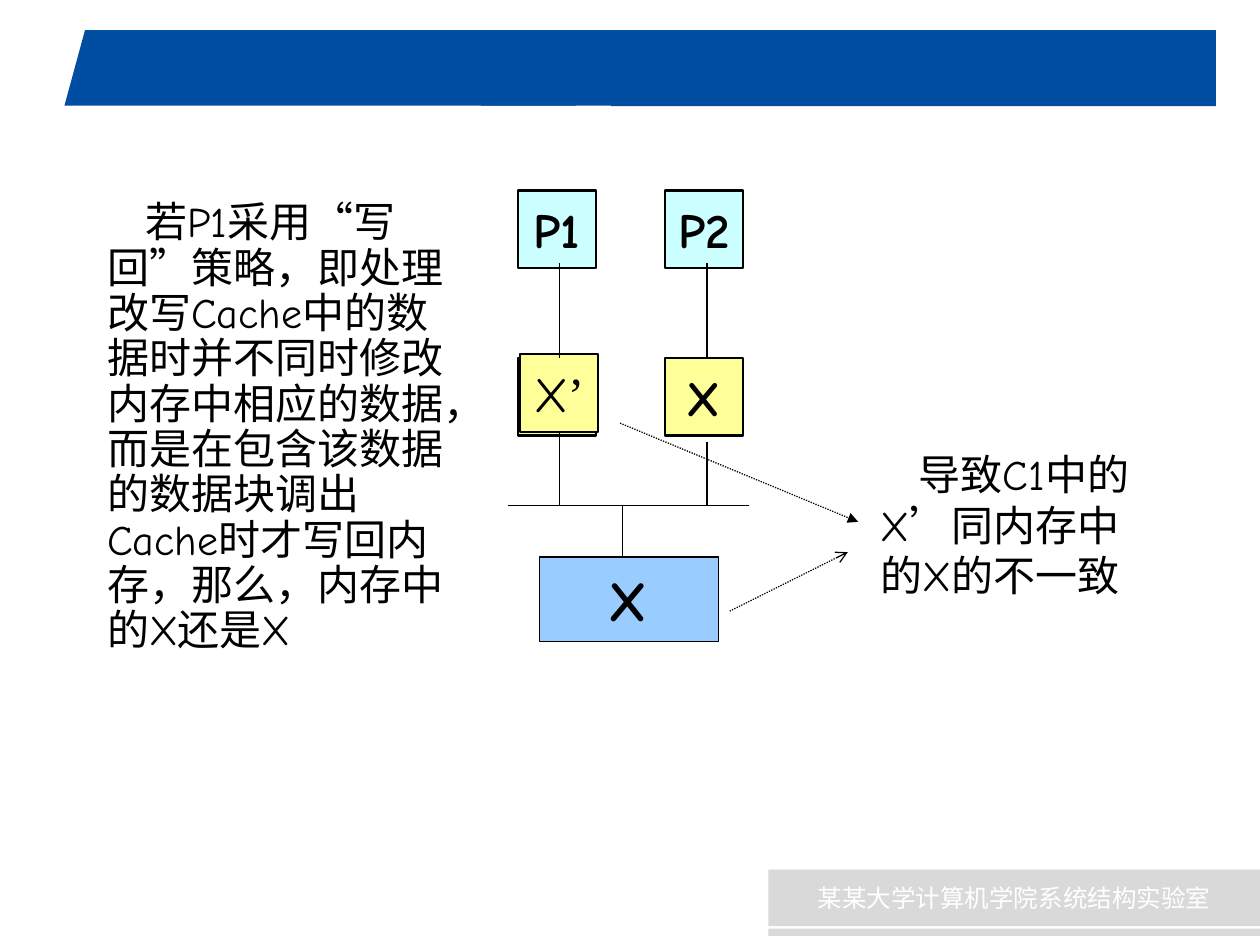
from lxml import etree
from pptx import Presentation
from pptx import util as u
from pptx.dml.color import RGBColor
from pptx.enum import dml, shapes, text
from pptx.oxml.ns import qn

BLUE = RGBColor(0x00, 0x4E, 0xA2)
GREY = RGBColor(0xD9, 0xD9, 0xD9)
CYAN = RGBColor(0xCC, 0xFF, 0xFF)
YELLOW = RGBColor(0xFF, 0xFF, 0x99)
SKY = RGBColor(0x99, 0xCC, 0xFF)
BLACK = RGBColor(0, 0, 0)
WHITE = RGBColor(0xFF, 0xFF, 0xFF)
LATIN, QUOTE, CJK = "Comic Neue", "Times New Roman", "Noto Sans CJK SC"
RECT = shapes.MSO_SHAPE.RECTANGLE

deck = Presentation()
deck.slide_width, deck.slide_height = u.Cm(25.4), u.Cm(19.05)
slide = deck.slides.add_slide(deck.slide_layouts[6])


def add_box(kind, place, fill, border=None):
    box = slide.shapes.add_shape(kind, *[u.Cm(v) for v in place])
    box.shadow.inherit = False
    box.fill.solid()
    box.fill.fore_color.rgb = fill
    if border:
        box.line.color.rgb = BLACK
        box.line.width = u.Pt(border)
    else:
        box.line.fill.background()
    return box


def write(paragraph, pieces, size, color=BLACK, bold=False):
    for piece, font in pieces:
        run = paragraph.add_run()
        run.text = piece
        run.font.name = font
        run.font.size = u.Pt(size)
        run.font.bold = bold
        run.font.color.rgb = color
        east_asian = etree.Element(qn("a:ea"), typeface=CJK)
        run.font._element.find(qn("a:latin")).addnext(east_asian)


banner = add_box(shapes.MSO_SHAPE.TRAPEZOID, (1.3, 0.61, 10.31, 1.52), BLUE)
banner.adjustments[0] = 0.273
add_box(RECT, (9.7, 0.61, 14.81, 1.52), BLUE)
add_box(RECT, (12.32, 2.01, 12.19, 0.13), BLUE)

footer = add_box(RECT, (15.49, 17.53, 9.91, 1.14), GREY)
footer.text_frame.vertical_anchor = text.MSO_ANCHOR.MIDDLE
footer.text_frame.paragraphs[0].alignment = text.PP_ALIGN.CENTER
write(footer.text_frame.paragraphs[0], [("某某大学计算机学院系统结构实验室", CJK)], 14, WHITE)
add_box(RECT, (15.49, 18.72, 9.91, 0.15), GREY)

SIDE = 1.57
units = [
    ((10.44, 3.84, SIDE, SIDE), CYAN, 1.25, [("P1", LATIN)], 28, True),
    ((10.44, 7.21, SIDE, SIDE), YELLOW, 1.25, [("X", LATIN)], 28, True),
    ((13.41, 3.84, SIDE, SIDE), CYAN, 1.25, [("P2", LATIN)], 28, True),
    ((13.41, 7.21, SIDE, SIDE), YELLOW, 1.25, [("X", LATIN)], 28, True),
    ((10.49, 7.14, SIDE, SIDE), YELLOW, 1.25, [("X", LATIN), ("’", QUOTE)], 28, False),
    ((10.87, 11.23, 3.61, 1.7), SKY, 0.75, [("X", LATIN)], 32, True),
]
for place, fill, border, pieces, size, bold in units:
    unit = add_box(RECT, place, fill, border)
    unit.text_frame.word_wrap = False
    unit.text_frame.vertical_anchor = text.MSO_ANCHOR.MIDDLE
    unit.text_frame.paragraphs[0].alignment = text.PP_ALIGN.CENTER
    write(unit.text_frame.paragraphs[0], pieces, size, bold=bold)

BUS = 10.19
links = [
    (11.28, 5.31, 11.28, 7.21, None),
    (14.25, 5.31, 14.25, 7.21, None),
    (10.24, BUS, 15.09, BUS, None),
    (11.28, 8.69, 11.28, BUS, None),
    (14.25, 8.92, 14.25, BUS, None),
    (12.55, BUS, 12.55, 11.23, None),
    (12.5, 8.53, 17.3, 10.52, "triangle"),
    (14.71, 12.32, 17.09, 11.13, "arrow"),
]
for *ends, head in links:
    link = slide.shapes.add_connector(shapes.MSO_CONNECTOR.STRAIGHT, *[u.Cm(v) for v in ends])
    link.line.color.rgb = BLACK
    link.line.width = u.Pt(0.75)
    if head:
        link.line.dash_style = dml.MSO_LINE.ROUND_DOT
        etree.SubElement(link.line._get_or_add_ln(), qn("a:tailEnd"), type=head)
    etree.SubElement(link._element.spPr, qn("a:effectLst"))

policy = [
    ("若P1采用", LATIN),
    ("“", QUOTE),
    ("写回", LATIN),
    ("”", QUOTE),
    ("策略，即处理改写Cache中的数据时并不同时修改内存中相应的数据，"
     "而是在包含该数据的数据块调出Cache时才写回内存，那么，内存中的X还是X", LATIN),
]
result = [("导致C1中的X", LATIN), ("’", QUOTE), ("同内存中的X的不一致", LATIN)]
notes = [
    ((1.91, 3.94, 7.7, 9.5), policy, 0.9, 4.8),
    ((17.5, 8.92, 5.99, 3.33), result, 1.0, 0),
]
for place, pieces, spacing, before in notes:
    note = slide.shapes.add_textbox(*[u.Cm(v) for v in place])
    note.text_frame.word_wrap = True
    note.text_frame.auto_size = text.MSO_AUTO_SIZE.SHAPE_TO_FIT_TEXT
    paragraph = note.text_frame.paragraphs[0]
    paragraph.line_spacing = spacing
    paragraph.space_before = u.Pt(before)
    paragraph._p.get_or_add_pPr().set("indent", str(u.Cm(0.77)))
    write(paragraph, pieces, 24)

deck.save("out.pptx")
